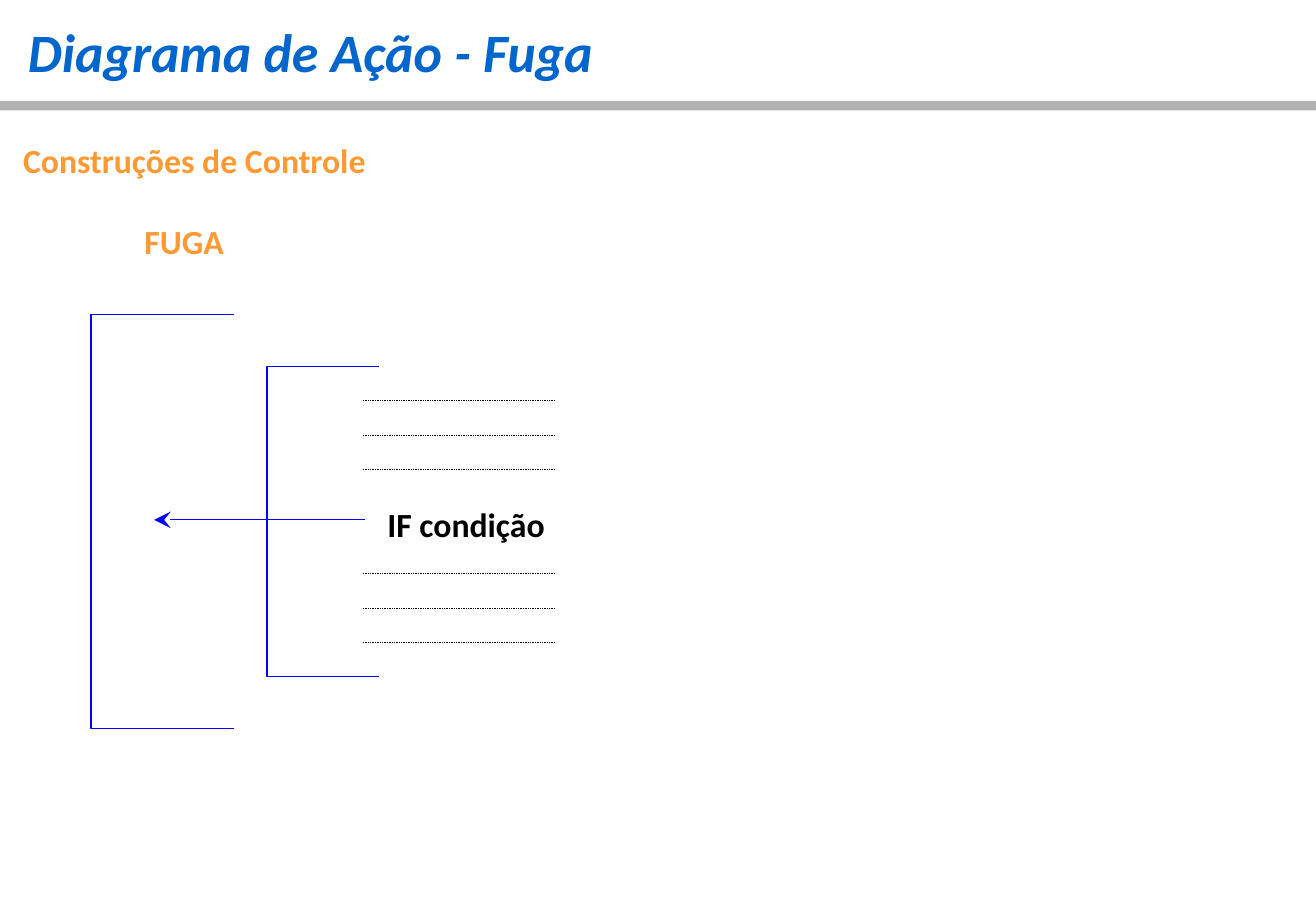
from dataclasses import dataclass
from typing import Optional

import pptx
import pptx.dml.color
import pptx.enum.dml
import pptx.enum.shapes
import pptx.enum.text
import pptx.oxml.ns
import pptx.util
from lxml import etree

Inches = pptx.util.Inches
RGB = pptx.dml.color.RGBColor


@dataclass(frozen=True)
class Theme:
    font: str = "Calibri"
    title_size: int = 32
    label_size: int = 20
    title: str = "0066CC"
    accent: str = "FF9933"
    text: str = "000000"
    bracket: str = "0000FF"
    bar: str = "B2B2B2"
    line_width: float = 0.75
    dotted_width: float = 0.5


@dataclass(frozen=True)
class Label:
    text: str
    left: float
    top: float
    width: float
    color: str


@dataclass(frozen=True)
class Bracket:
    left: float
    top: float
    width: float
    height: float


@dataclass(frozen=True)
class Line:
    x1: float
    x2: float
    y: float
    color: str
    width: float
    dash: Optional[pptx.enum.dml.MSO_LINE] = None
    arrow: bool = False


THEME = Theme()
LABEL_HEIGHT = 0.48

LABELS = [
    Label("Construções de Controle", 0.12, 1.08, 3.0, THEME.accent),
    Label("FUGA", 1.12, 1.75, 0.8, THEME.accent),
    Label("IF condição", 3.12, 4.08, 1.45, THEME.text),
]
BRACKETS = [Bracket(2.2, 3.02, 0.92, 2.55), Bracket(0.75, 2.59, 1.18, 3.41)]

# Statement rows share one pitch; rows 3 and 4 are left for the condition
FIRST_ROW, LAST_ROW = 3.3, 5.29
ROW_PITCH = (LAST_ROW - FIRST_ROW) / 7
STATEMENTS = [
    Line(2.99, 4.57, FIRST_ROW + row * ROW_PITCH, THEME.text,
         THEME.dotted_width, pptx.enum.dml.MSO_LINE.ROUND_DOT)
    for row in (0, 1, 2, 5, 6, 7)
]
ESCAPE = Line(3.01, 1.27, 4.28, THEME.bracket, THEME.line_width, arrow=True)


def write_text(s, text: str, size: int, color: str, italic: bool = False) -> None:
    tf = s.text_frame
    frame_format = {
        "word_wrap": False,
        "auto_size": pptx.enum.text.MSO_AUTO_SIZE.NONE,
        "vertical_anchor": pptx.enum.text.MSO_ANCHOR.TOP,
    }
    for side in ("left", "top", "right", "bottom"):
        frame_format[f"margin_{side}"] = Inches(0.07)
    for name, value in frame_format.items():
        setattr(tf, name, value)
    p = tf.paragraphs[0]
    p.alignment = pptx.enum.text.PP_ALIGN.LEFT
    r = p.add_run()
    r.text = text
    font_format = {"name": THEME.font, "size": pptx.util.Pt(size),
                   "bold": True, "italic": italic}
    for name, value in font_format.items():
        setattr(r.font, name, value)
    r.font.color.rgb = RGB.from_string(color)


def add_title(sp, text: str) -> None:
    s = sp.title
    place = {"left": 0.16, "top": 0.08, "width": 5.39, "height": 0.67}
    for name, value in place.items():
        setattr(s, name, Inches(value))
    write_text(s, text, THEME.title_size, THEME.title, italic=True)


def add_bar(sp) -> None:
    s = sp.add_shape(pptx.enum.shapes.MSO_SHAPE.RECTANGLE,
                     0, Inches(0.83), Inches(10.84), Inches(0.08))
    s.shadow.inherit = False
    s.fill.solid()
    s.fill.fore_color.rgb = RGB.from_string(THEME.bar)
    s.line.fill.background()


def add_label(sp, label: Label) -> None:
    s = sp.add_textbox(Inches(label.left), Inches(label.top),
                       Inches(label.width), Inches(LABEL_HEIGHT))
    write_text(s, label.text, THEME.label_size, label.color)


def add_bracket(sp, bracket: Bracket) -> None:
    left, top = Inches(bracket.left), Inches(bracket.top)
    right = left + Inches(bracket.width)
    bottom = top + Inches(bracket.height)
    outline = sp.build_freeform(right, bottom)
    outline.add_line_segments([(left, bottom), (left, top), (right, top)], close=False)
    s = outline.convert_to_shape()
    s.shadow.inherit = False
    s.fill.background()
    s.line.color.rgb = RGB.from_string(THEME.bracket)
    s.line.width = pptx.util.Pt(THEME.line_width)


def add_line(sp, line: Line) -> None:
    qn = pptx.oxml.ns.qn
    s = sp.add_connector(pptx.enum.shapes.MSO_CONNECTOR.STRAIGHT,
                         Inches(line.x1), Inches(line.y),
                         Inches(line.x2), Inches(line.y))
    s.line.color.rgb = RGB.from_string(line.color)
    s.line.width = pptx.util.Pt(line.width)
    if line.dash is not None:
        s.line.dash_style = line.dash
    properties = s.element.spPr
    if line.arrow:
        etree.SubElement(properties.find(qn("a:ln")), qn("a:tailEnd"),
                         type="stealth", w="lg", len="lg")
    etree.SubElement(properties, qn("a:effectLst"))


def main() -> None:
    prs = pptx.Presentation()
    prs.slide_width, prs.slide_height = Inches(10.84), Inches(7.5)
    sp = prs.slides.add_slide(prs.slide_layouts[5]).shapes

    # Heading and labels
    add_bar(sp)
    add_title(sp, "Diagrama de Ação - Fuga")
    for label in LABELS:
        add_label(sp, label)

    # Action diagram
    for statement in STATEMENTS:
        add_line(sp, statement)
    for bracket in BRACKETS:
        add_bracket(sp, bracket)
    add_line(sp, ESCAPE)

    prs.save("out.pptx")


if __name__ == "__main__":
    main()
